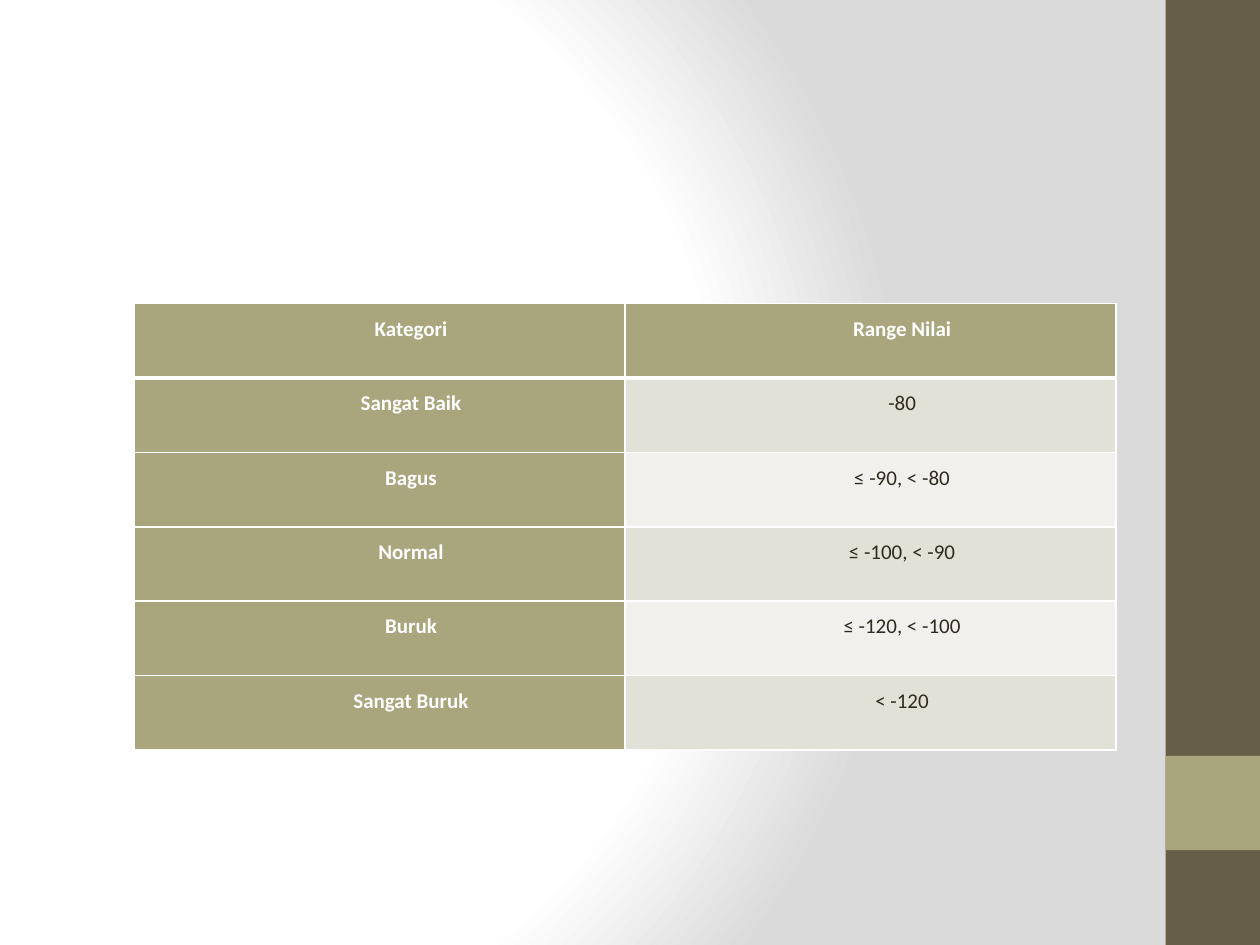
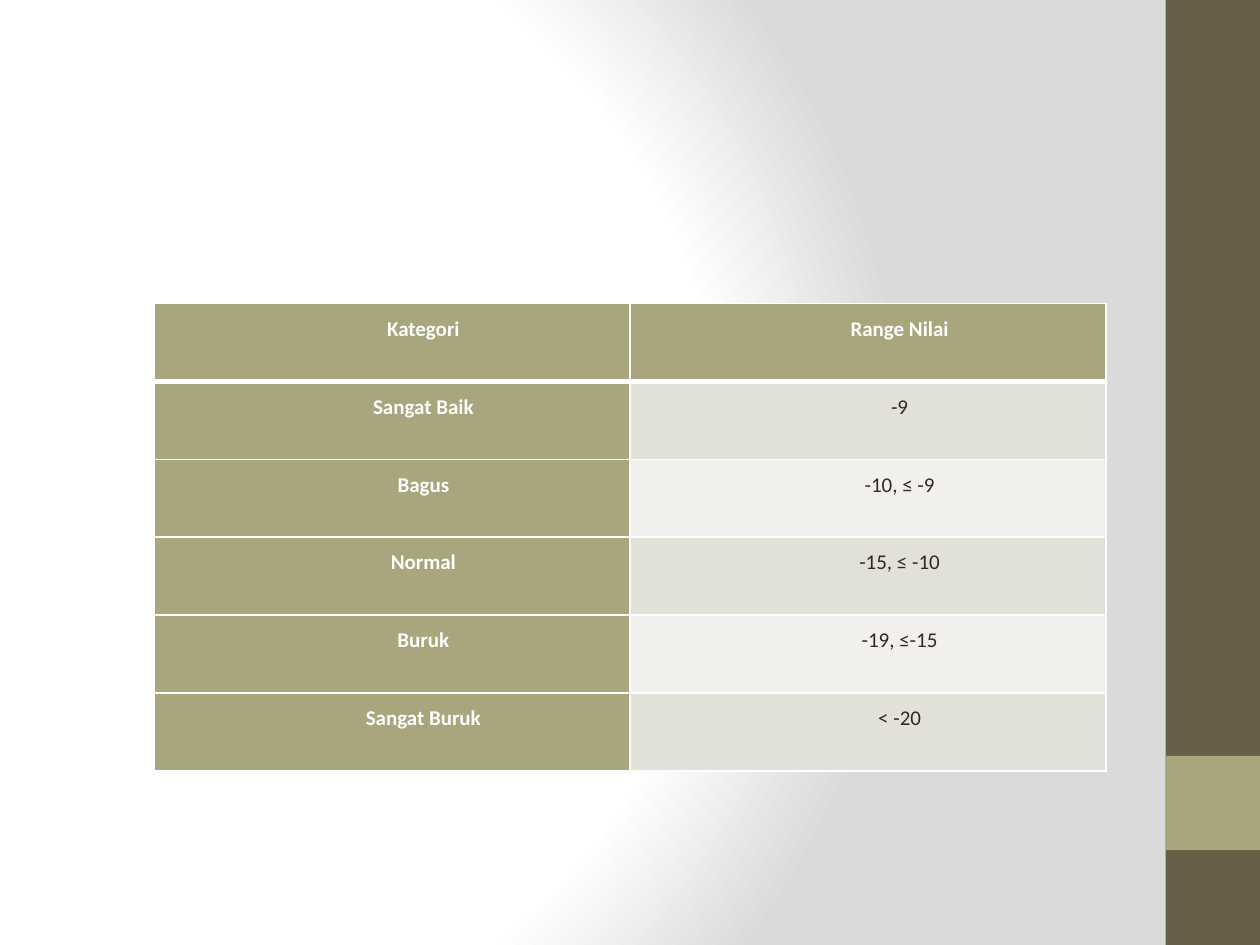
"""Build two slides that show rating categories and their value ranges."""
from dataclasses import dataclass

from pptx import Presentation
from pptx import util as u
from pptx.dml.color import RGBColor
from pptx.enum import shapes, text
from pptx.oxml import parse_xml
from pptx.oxml.ns import nsdecls, qn


@dataclass(frozen=True)
class Theme:
    dark: str = "675E47"
    accent: str = "A9A57C"
    white: str = "FFFFFF"
    ink: str = "2F2B20"
    shade: str = "DADADA"
    bands: tuple = ("E2E1D7", "F1F0EC")
    font: str = "Calibri"
    size: int = 12
    line_spacing: float = 1.5
    border: float = 1
    header_border: float = 3


class Deck:
    def __init__(self, theme):
        self.theme = theme
        self.presentation = Presentation()
        self.presentation.slide_width = u.Cm(25.4)
        self.presentation.slide_height = u.Cm(19.05)
        self.slide = None

    def add_slide(self):
        self.slide = self.presentation.slides.add_slide(self.presentation.slide_layouts[6])
        self.add_background()
        self.add_band(0, 19.05, self.theme.dark)
        self.add_band(15.24, 1.9, self.theme.accent)

    def add_background(self):
        self.slide.background.fill.gradient()
        properties = self.slide.element.find(".//" + qn("p:bgPr"))
        stops = ((0, self.theme.white), (75, self.theme.white), (100, self.theme.shade))
        stop_list = "".join(
            f'<a:gs pos="{position * 1000}"><a:srgbClr val="{color}"/></a:gs>'
            for position, color in stops
        )
        gradient = parse_xml(
            f'<a:gradFill {nsdecls("a")} rotWithShape="1"><a:gsLst>{stop_list}</a:gsLst>'
            '<a:path path="circle"><a:fillToRect l="20000" t="50000" r="100000" b="50000"/>'
            "</a:path></a:gradFill>"
        )
        properties.replace(properties.find(qn("a:gradFill")), gradient)

    def add_band(self, top, height, color):
        shape = self.slide.shapes.add_shape(
            shapes.MSO_SHAPE.RECTANGLE, u.Cm(23.5), u.Cm(top), u.Cm(1.9), u.Cm(height)
        )
        shape.shadow.inherit = False
        shape.fill.solid()
        shape.fill.fore_color.rgb = RGBColor.from_string(color)
        shape.line.fill.background()

    def add_table(self, left, top, column_width, row_height, rows):
        columns = len(rows[0])
        table = self.slide.shapes.add_table(
            len(rows), columns, u.Cm(left), u.Cm(top),
            u.Cm(column_width * columns), u.Cm(row_height * len(rows)),
        ).table
        table.first_row = table.horz_banding = False
        for column in table.columns:
            column.width = u.Cm(column_width)
        for row_index, values in enumerate(rows):
            table.rows[row_index].height = u.Cm(row_height)
            for column_index, value in enumerate(values):
                cell = table.cell(row_index, column_index)
                heading = row_index == 0 or column_index == 0
                band = self.theme.bands[(row_index - 1) % 2]
                self.style_cell(cell, self.theme.accent if heading else band)
                self.add_borders(cell, row_index)
                self.add_text(cell, value, heading)

    def style_cell(self, cell, color):
        cell.margin_left = cell.margin_right = u.Cm(0.19)
        cell.margin_top = cell.margin_bottom = 0
        cell.fill.solid()
        cell.fill.fore_color.rgb = RGBColor.from_string(color)

    def add_borders(self, cell, row_index):
        thin, thick = self.theme.border, self.theme.header_border
        widths = {
            "lnL": thin,
            "lnR": thin,
            "lnT": thick if row_index == 1 else thin,
            "lnB": thick if row_index == 0 else thin,
        }
        properties = cell._tc.get_or_add_tcPr()
        for index, (side, width) in enumerate(widths.items()):
            properties.insert(index, parse_xml(
                f'<a:{side} {nsdecls("a")} w="{u.Pt(width)}"><a:solidFill>'
                f'<a:srgbClr val="{self.theme.white}"/></a:solidFill></a:{side}>'
            ))

    def add_text(self, cell, value, heading):
        paragraph = cell.text_frame.paragraphs[0]
        paragraph.alignment = text.PP_ALIGN.CENTER
        paragraph.line_spacing = self.theme.line_spacing
        paragraph._p.get_or_add_pPr().set("marL", str(u.Cm(1.27)))
        run = paragraph.add_run()
        run.text = value
        run.font.name = self.theme.font
        run.font.size = u.Pt(self.theme.size)
        run.font.bold = heading
        color = self.theme.white if heading else self.theme.ink
        run.font.color.rgb = RGBColor.from_string(color)


CATEGORIES = ("Sangat Baik", "Bagus", "Normal", "Buruk", "Sangat Buruk")
TABLES = (
    (2.7, 9.9, 1.5, ("-80", "≤ -90, < -80", "≤ -100, < -90", "≤ -120, < -100", "< -120")),
    (3.1, 9.6, 1.57, ("-9", "-10, ≤ -9", "-15, ≤ -10", "-19, ≤-15", "< -20")),
)

deck = Deck(Theme())
for left, column_width, row_height, ranges in TABLES:
    deck.add_slide()
    rows = [("Kategori", "Range Nilai"), *zip(CATEGORIES, ranges)]
    deck.add_table(left, 6.12, column_width, row_height, rows)
deck.presentation.save("out.pptx")
